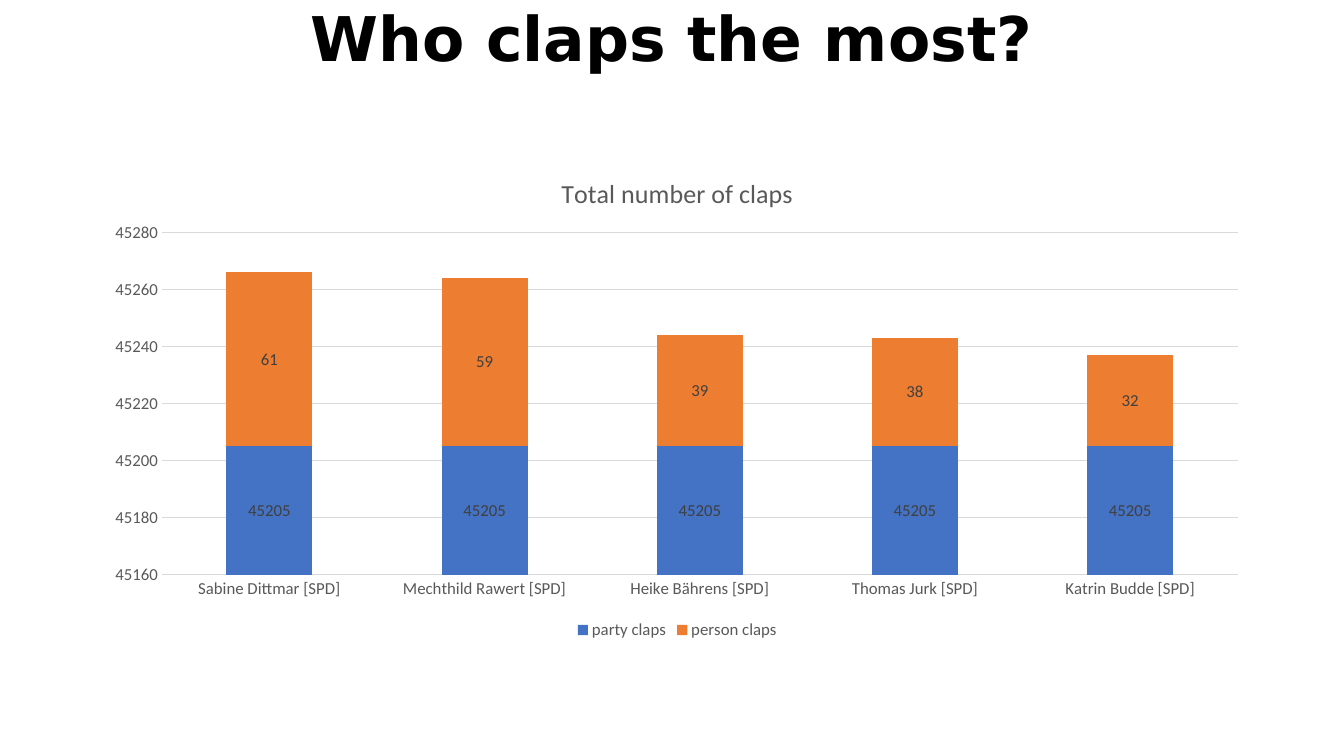
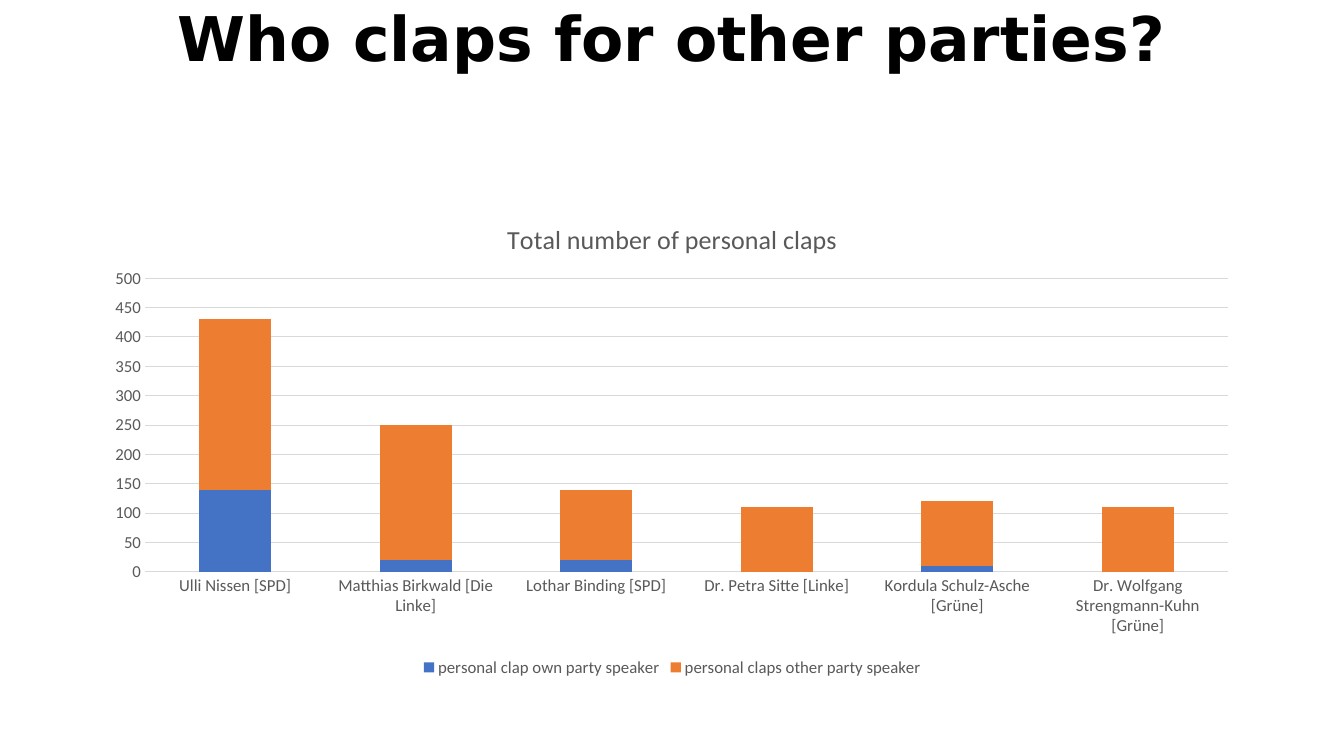
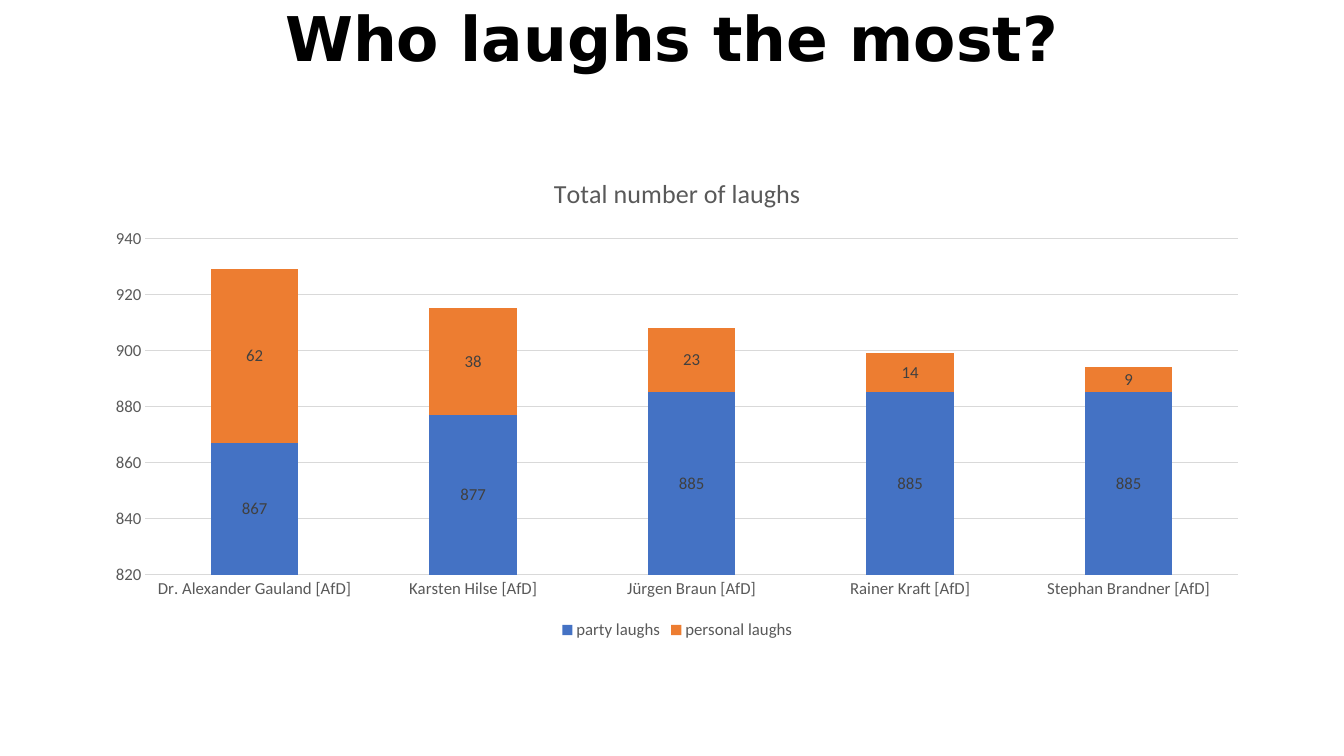
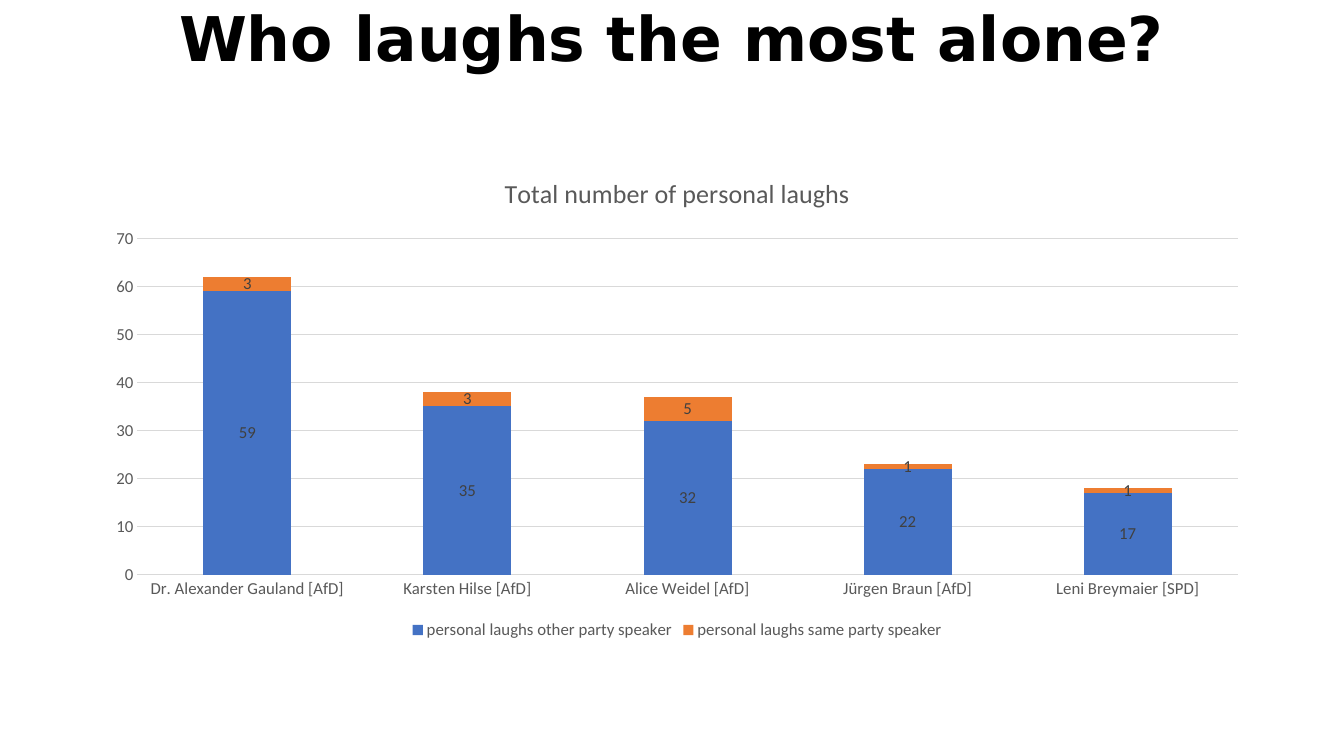
from dataclasses import dataclass

import pptx
import pptx.chart.data
import pptx.dml.color
import pptx.enum.chart
import pptx.enum.text
import pptx.oxml
import pptx.oxml.ns
import pptx.util
from pptx.util import Cm

COLOURS = {
    "title": "000000",
    "muted": "595959",
    "label": "404040",
    "grid": "D9D9D9",
    "lower": "4472C4",
    "upper": "ED7D31",
}
TITLE_FONT = "DejaVu Sans"
CHART_FONT = "Calibri"
SLIDE_WIDTH, SLIDE_HEIGHT = Cm(33.87), Cm(19.05)
PLOT_RIGHT = 97.95  # percent of the chart width


@dataclass(frozen=True)
class Box:
    left: float
    top: float
    width: float
    height: float


@dataclass(frozen=True)
class Axis:
    minimum: int
    maximum: int
    step: int


@dataclass(frozen=True)
class Plot:
    """Edges of the plot area, in percent of the chart."""
    left: float
    top: float
    bottom: float


@dataclass(frozen=True)
class ChartSlide:
    title: str
    chart_title: str
    categories: list[str]
    series: dict[str, list[int]]
    axis: Axis
    plot: Plot
    box: Box = Box(2.34, 3.91, 29.46, 12.32)
    labelled: bool = True


CHART_SLIDES = [
    ChartSlide(
        "Who claps the most?",
        "Total number of claps",
        ["Sabine Dittmar [SPD]", "Mechthild Rawert [SPD]", "Heike Bährens [SPD]",
         "Thomas Jurk [SPD]", "Katrin Budde [SPD]"],
        {"party claps": [45205] * 5, "person claps": [61, 59, 39, 38, 32]},
        Axis(45160, 45280, 20),
        Plot(5.9, 15.8, 85.8),
    ),
    ChartSlide(
        "Who claps for other parties?",
        "Total number of personal claps",
        ["Ulli Nissen [SPD]", "Matthias Birkwald [Die Linke]", "Lothar Binding [SPD]",
         "Dr. Petra Sitte [Linke]", "Kordula Schulz-Asche [Grüne]",
         "Dr. Wolfgang Strengmann-Kuhn [Grüne]"],
        {"personal clap own party speaker": [140, 20, 20, 0, 10, 0],
         "personal claps other party speaker": [290, 230, 120, 110, 110, 110]},
        Axis(0, 500, 50),
        Plot(4.5, 16, 77.2),
        box=Box(2.34, 5.08, 29.21, 12.09),
        labelled=False,
    ),
    ChartSlide(
        "Who laughs the most?",
        "Total number of laughs",
        ["Dr. Alexander Gauland [AfD]", "Karsten Hilse [AfD]", "Jürgen Braun [AfD]",
         "Rainer Kraft [AfD]", "Stephan Brandner [AfD]"],
        {"party laughs": [867, 877, 885, 885, 885],
         "personal laughs": [62, 38, 23, 14, 9]},
        Axis(820, 940, 20),
        Plot(4.5, 17, 85.8),
    ),
    ChartSlide(
        "Who laughs the most alone?",
        "Total number of personal laughs",
        ["Dr. Alexander Gauland [AfD]", "Karsten Hilse [AfD]", "Alice Weidel [AfD]",
         "Jürgen Braun [AfD]", "Leni Breymaier [SPD]"],
        {"personal laughs other party speaker": [59, 35, 32, 22, 17],
         "personal laughs same party speaker": [3, 3, 5, 1, 1]},
        Axis(0, 70, 10),
        Plot(3.8, 17, 85.8),
    ),
]


def rgb(name: str) -> pptx.dml.color.RGBColor:
    return pptx.dml.color.RGBColor.from_string(COLOURS[name])


def style_font(font, name: str, size: float, colour: str, bold: bool = False) -> None:
    font.name = name
    font.size = pptx.util.Pt(size)
    font.bold = bold
    font.color.rgb = rgb(colour)


def style_line(line) -> None:
    line.color.rgb = rgb("grid")
    line.width = pptx.util.Pt(0.75)


def set_title(slide, text: str) -> None:
    title = slide.shapes.title
    title.left, title.top = Cm(0), Cm(0.05)
    title.width, title.height = SLIDE_WIDTH, Cm(2)
    frame = title.text_frame
    frame.text = text
    frame.auto_size = pptx.enum.text.MSO_AUTO_SIZE.NONE
    frame.vertical_anchor = pptx.enum.text.MSO_ANCHOR.MIDDLE
    paragraph = frame.paragraphs[0]
    paragraph.alignment = pptx.enum.text.PP_ALIGN.CENTER
    paragraph.line_spacing = 0.9
    style_font(paragraph.font, TITLE_FONT, 44, "title", bold=True)


def place_plot(chart, plot: Plot) -> None:
    """Fix the inner plot area, which python-pptx leaves automatic."""
    fractions = {
        "x": plot.left,
        "y": plot.top,
        "w": PLOT_RIGHT - plot.left,
        "h": plot.bottom - plot.top,
    }
    modes = "".join(f'<c:{key}Mode val="edge"/>' for key in "xy")
    sizes = "".join(f'<c:{key} val="{value / 100:.4f}"/>' for key, value in fractions.items())
    layout = pptx.oxml.parse_xml(
        f'<c:layout {pptx.oxml.ns.nsdecls("c")}><c:manualLayout>'
        f'<c:layoutTarget val="inner"/>{modes}{sizes}</c:manualLayout></c:layout>'
    )
    tag = pptx.oxml.ns.qn("c:layout")
    plot_area = chart.plots[0]._element.getparent()
    for automatic in plot_area.findall(tag):
        plot_area.remove(automatic)
    plot_area.insert(0, layout)


def style_axes(chart, scale: Axis) -> None:
    for axis in (chart.category_axis, chart.value_axis):
        axis.major_tick_mark = pptx.enum.chart.XL_TICK_MARK.NONE
        axis.minor_tick_mark = pptx.enum.chart.XL_TICK_MARK.NONE
        style_font(axis.tick_labels.font, CHART_FONT, 12, "muted")
    style_line(chart.category_axis.format.line)
    value_axis = chart.value_axis
    value_axis.format.line.fill.background()
    value_axis.has_major_gridlines = True
    style_line(value_axis.major_gridlines.format.line)
    value_axis.minimum_scale = scale.minimum
    value_axis.maximum_scale = scale.maximum
    value_axis.major_unit = scale.step


def style_series(chart, labelled: bool) -> None:
    columns = chart.plots[0]
    columns.gap_width = 150
    columns.overlap = 100
    columns.vary_by_categories = False
    for series, colour in zip(columns.series, ("lower", "upper")):
        series.format.fill.solid()
        series.format.fill.fore_color.rgb = rgb(colour)
        if labelled:
            labels = series.data_labels
            labels.show_value = True
            labels.position = pptx.enum.chart.XL_LABEL_POSITION.CENTER
            style_font(labels.font, CHART_FONT, 12, "label")


def add_stacked_chart(slide, content: ChartSlide) -> None:
    data = pptx.chart.data.CategoryChartData()
    data.categories = content.categories
    for name, values in content.series.items():
        data.add_series(name, values)
    box = content.box
    chart = slide.shapes.add_chart(
        pptx.enum.chart.XL_CHART_TYPE.COLUMN_STACKED,
        Cm(box.left), Cm(box.top), Cm(box.width), Cm(box.height), data,
    ).chart
    style_font(chart.font, CHART_FONT, 10, "title")

    chart.has_title = True
    chart.chart_title.include_in_layout = False
    title_frame = chart.chart_title.text_frame
    title_frame.text = content.chart_title
    style_font(title_frame.paragraphs[0].font, CHART_FONT, 18.6, "muted")

    chart.has_legend = True
    chart.legend.position = pptx.enum.chart.XL_LEGEND_POSITION.BOTTOM
    chart.legend.include_in_layout = False
    style_font(chart.legend.font, CHART_FONT, 12, "muted")

    style_axes(chart, content.axis)
    style_series(chart, content.labelled)
    place_plot(chart, content.plot)


def main() -> None:
    presentation = pptx.Presentation()
    presentation.slide_width, presentation.slide_height = SLIDE_WIDTH, SLIDE_HEIGHT
    title_only = presentation.slide_layouts.get_by_name("Title Only")
    for content in CHART_SLIDES:
        slide = presentation.slides.add_slide(title_only)
        set_title(slide, content.title)
        add_stacked_chart(slide, content)
    presentation.save("out.pptx")


if __name__ == "__main__":
    main()
